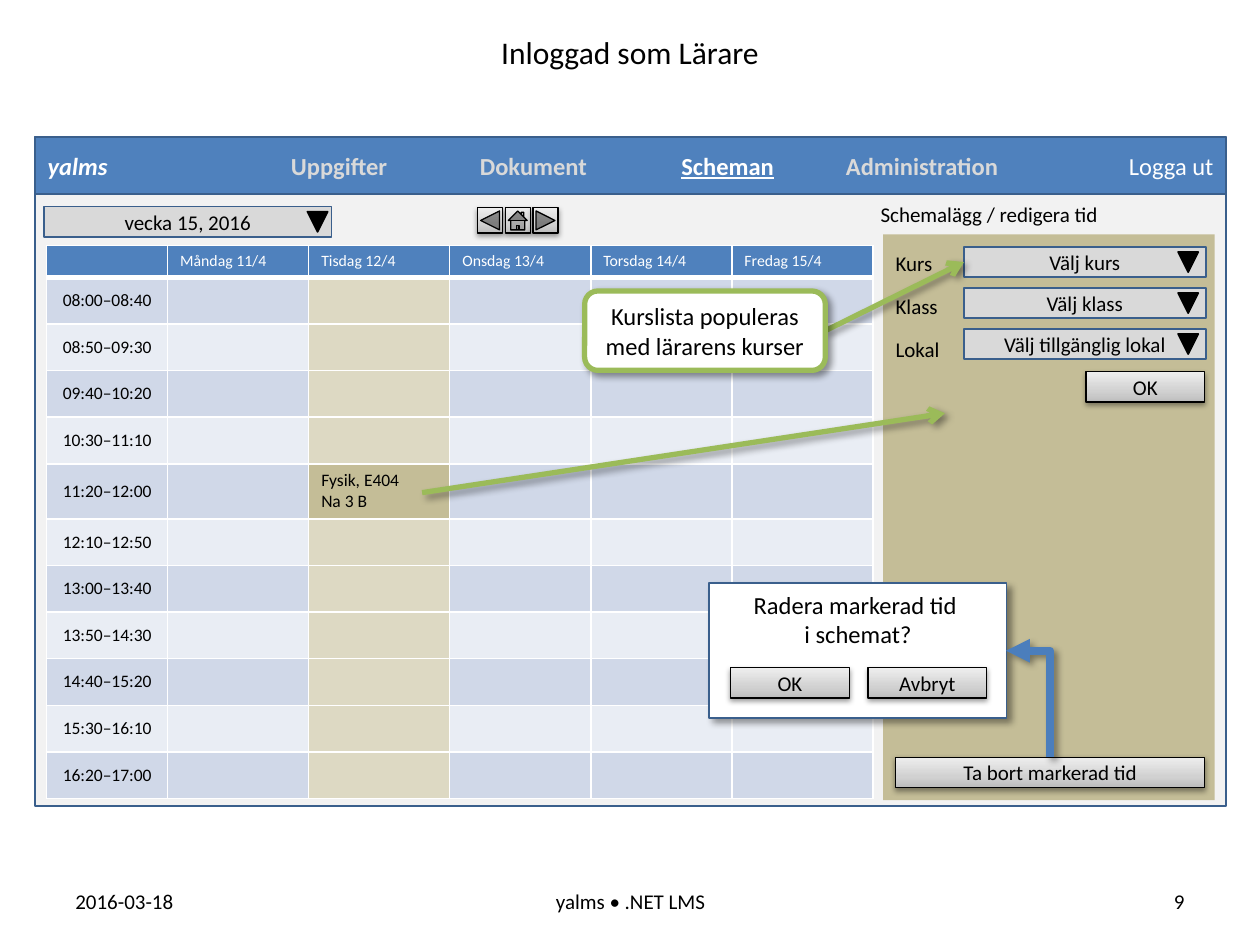
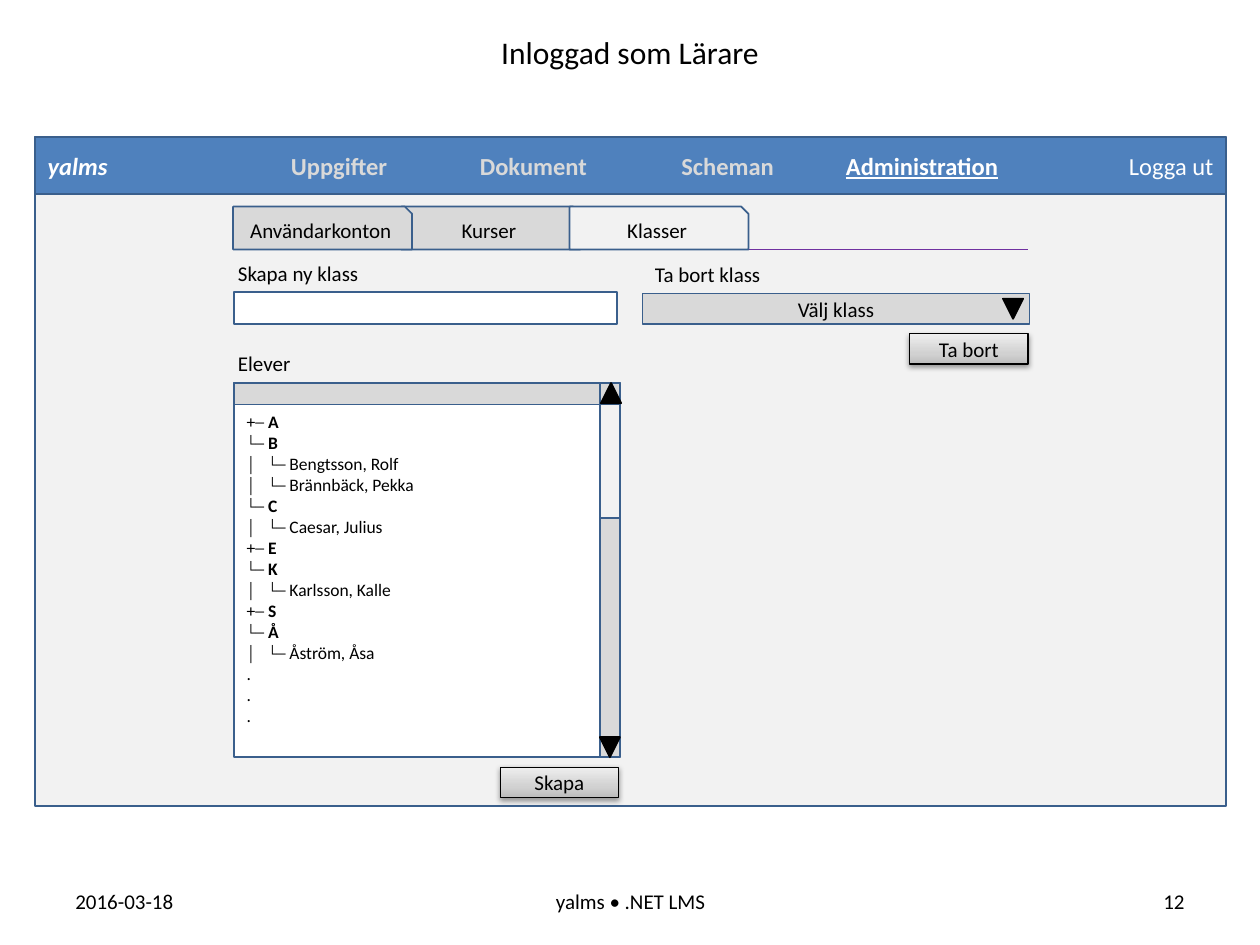
"""Build two mock-up pages of a school scheduling site."""
from collections import namedtuple

from lxml import etree
from pptx import Presentation
from pptx import util as u
from pptx.dml import color as dml
from pptx.enum import shapes, text
from pptx.oxml import ns

FONT = "Calibri"
BLACK, WHITE, SILVER, PAPER = "000000", "FFFFFF", "D9D9D9", "F2F2F2"
BLUE, EDGE, ARROW = "4F81BD", "3A5F8C", "4B7EBC"
KHAKI, SAND, GREEN, PURPLE = "C4BD97", "DDD9C3", "9BBB59", "7030A0"
BANDS = ("D0D8E8", "E9EDF4")
STEEL = ((0, "BDBDBD"), (35, "D1D1D1"), (100, "EEEEEE"))
LOW_SHADOW = (38, 3.1, 1.6, 90)
CAST_SHADOW = (40, 4, 3, 45)
KIND = shapes.MSO_SHAPE
ALIGN = {"l": text.PP_ALIGN.LEFT, "c": text.PP_ALIGN.CENTER, "r": text.PP_ALIGN.RIGHT}
ANCHOR = {"t": text.MSO_ANCHOR.TOP, "m": text.MSO_ANCHOR.MIDDLE}
MENU = ("Uppgifter", "Dokument", "Scheman", "Administration")
DAYS = ("Måndag 11/4", "Tisdag 12/4", "Onsdag 13/4", "Torsdag 14/4", "Fredag 15/4")
START, LESSON, STEP = 8 * 60, 40, 50
MARKED_DAY, MARKED_ROW = 2, 5
TREE = (("+", "A"), ("└", "B", "Bengtsson, Rolf", "Brännbäck, Pekka"),
        ("└", "C", "Caesar, Julius"), ("+", "E"), ("└", "K", "Karlsson, Kalle"),
        ("+", "S"), ("└", "Å", "Åström, Åsa"))


class Box(namedtuple("Box", "left top width height")):
    """Hold a rectangle in inches."""

    def at(self, x, y, width, height):
        """Return a box placed relative to this one."""
        return Box(self.left + x, self.top + y, width, height)

    def lengths(self):
        """Return the four values as lengths."""
        return [u.Inches(value) for value in self]


WINDOW = Box(0.28, 1.09, 9.45, 5.31)


def rgb(value):
    """Turn a hex string into a colour."""
    return dml.RGBColor.from_string(value)


def add(parent, tag, **attributes):
    """Append an XML child with the given attributes."""
    child = etree.SubElement(parent, ns.qn(tag))
    for name, value in attributes.items():
        child.set(name, str(value))
    return child


def write(frame, paras, size=12, color=BLACK, align="l", anchor="t", after=0,
          bold=False, inset_top=0.05, tab=None):
    """Fill a text frame with strings or lists of (text, format) spans."""
    frame.word_wrap = True
    frame.auto_size = text.MSO_AUTO_SIZE.NONE
    frame.vertical_anchor = ANCHOR[anchor]
    frame.margin_left = frame.margin_right = u.Inches(0.1)
    frame.margin_top, frame.margin_bottom = u.Inches(inset_top), u.Inches(0.05)
    for index, spans in enumerate([paras] if isinstance(paras, str) else paras):
        para = frame.paragraphs[0] if index == 0 else frame.add_paragraph()
        para.alignment = ALIGN[align[min(index, len(align) - 1)]]
        para.space_after, para.space_before = u.Pt(after), u.Pt(0)
        if tab:
            stops = add(para._p.get_or_add_pPr(), "a:tabLst")
            add(stops, "a:tab", pos=u.Inches(tab), algn="l")
        for words, style in [(spans, {})] if isinstance(spans, str) else spans:
            for part, line in enumerate(words.split("\n")):
                if part:
                    para.add_line_break()
                span = para.add_run()
                span.text = line
                font = span.font
                font.name, font.size = FONT, u.Pt(size)
                font.bold = style.get("bold", bold)
                font.italic = style.get("italic", False)
                font.underline = style.get("underline", False)
                font.color.rgb = rgb(style.get("color", color))


def cast(properties, opacity, blur, distance, angle):
    """Put an outer shadow into an effect list."""
    shadow = add(properties.find(ns.qn("a:effectLst")), "a:outerShdw",
                 blurRad=u.Pt(blur), dist=u.Pt(distance), dir=angle * 60000,
                 rotWithShape=0)
    add(add(shadow, "a:srgbClr", val=BLACK), "a:alpha", val=opacity * 1000)


def draw(page, box, kind=KIND.RECTANGLE, fill=WHITE, line=EDGE, weight=1,
         shadow=None, words=None, **style):
    """Draw a preset shape, with text if there is any."""
    shape = page.shapes.add_shape(kind, *box.lengths())
    if isinstance(fill, str):
        shape.fill.solid()
        shape.fill.fore_color.rgb = rgb(fill)
    else:
        shape.fill.gradient()
        shape.fill.gradient_angle = 90
        stops = shape._element.spPr.find(".//" + ns.qn("a:gsLst"))
        for stop in list(stops):
            stops.remove(stop)
        for place, color in fill:
            add(add(stops, "a:gs", pos=place * 1000), "a:srgbClr", val=color)
    if line:
        shape.line.color.rgb = rgb(line)
        shape.line.width = u.Pt(weight)
    else:
        shape.line.fill.background()
    shape.shadow.inherit = False
    if shadow:
        cast(shape._element.spPr, *shadow)
    if words:
        write(shape.text_frame, words, **{"align": "c", "anchor": "m", **style})
    return shape


def label(page, box, words, **style):
    """Place plain text."""
    write(page.shapes.add_textbox(*box.lengths()).text_frame, words, **style)


def link(page, start, end, color, weight=1, head=None, shadow=None,
         kind=shapes.MSO_CONNECTOR.STRAIGHT):
    """Draw a connector between two points."""
    points = [u.Inches(value) for value in (*start, *end)]
    connector = page.shapes.add_connector(kind, *points)
    connector.line.color.rgb = rgb(color)
    connector.line.width = u.Pt(weight)
    properties = connector._element.spPr
    if head:
        add(properties.find(ns.qn("a:ln")), "a:tailEnd", type=head)
    add(properties, "a:effectLst")
    if shadow:
        cast(properties, *shadow)
    return connector


def button(page, box, words=None, kind=KIND.RECTANGLE):
    """Draw a raised grey button."""
    draw(page, box, kind, STEEL, BLACK, 0.75, LOW_SHADOW, words)


def triangle(page, box, down=True):
    """Draw a small black pointer."""
    pointer = draw(page, box, KIND.ISOSCELES_TRIANGLE, BLACK, BLACK)
    pointer.rotation = 180 if down else 0


def dropdown(page, box, words, gap=0.21):
    """Draw a closed list with its pointer at the right."""
    draw(page, box, KIND.ACTION_BUTTON_CUSTOM, SILVER, words=words)
    triangle(page, box.at(box.width - gap, 0.04, 0.16, 0.16))


def start_page(deck, number, active):
    """Add a page with title, footers, window and menu bar."""
    page = deck.slides.add_slide(deck.slide_layouts[5])
    title = page.shapes.title
    title.left, title.top, title.width, title.height = Box(0, 0.21, 10, 0.4).lengths()
    write(title.text_frame, "Inloggad som Lärare", size=18, align="c")
    footers = ((7.17, 2.33, str(number), "r"), (3.42, 3.17, "yalms • .NET LMS", "c"),
               (0.5, 2.33, "2016-03-18", "l"))
    for left, width, words, align in footers:
        label(page, Box(left, 6.95, width, 0.4), words, align=align, anchor="m")
    draw(page, WINDOW, fill=PAPER)
    items = [[(name, {"color": WHITE, "underline": True} if name == active else {})]
             for name in MENU]
    bar = draw(page, WINDOW.at(0, 0, WINDOW.width, 0.45), fill=BLUE, size=14,
               color=SILVER, bold=True, align="lccccr",
               words=[[("yalms", {"color": WHITE, "italic": True})], *items,
                      [("Logga ut", {"color": WHITE, "bold": False})]])
    bar.text_frame._txBody.bodyPr.set("numCol", str(len(items) + 2))
    return page


def clock(minutes):
    """Format minutes after midnight."""
    return f"{minutes // 60:02d}:{minutes % 60:02d}"


def fill_cell(cell, fill, words="", size=10, header=False, **style):
    """Format one timetable cell."""
    properties = cell._tc.get_or_add_tcPr()
    for side in "LRTB":
        width = 3 if header and side == "B" else 1
        border = add(properties, "a:ln" + side, w=u.Pt(width))
        add(add(border, "a:solidFill"), "a:srgbClr", val=WHITE)
    cell.fill.solid()
    cell.fill.fore_color.rgb = rgb(fill)
    if words:
        write(cell.text_frame, words, size=size, **style)
        cell.vertical_anchor = ANCHOR[style.get("anchor", "t")]
    else:
        cell.text_frame.paragraphs[0]._p.get_or_add_endParaRPr().set("sz", str(size * 100))


def timetable(page, box, lessons=11):
    """Build the week table with one marked day."""
    grid = page.shapes.add_table(lessons + 1, len(DAYS) + 1, *box.lengths()).table
    for index, column in enumerate(grid.columns):
        column.width = u.Inches(1.12 if index else 0.96)
    for index, row in enumerate(grid.rows):
        row.height = u.Inches(0.37 if index else 0.22)
    for index, day in enumerate(("", *DAYS)):
        fill_cell(grid.cell(0, index), BLUE, day, size=9, color=WHITE, header=True)
    for row in range(1, lessons + 1):
        band = BANDS[(row - 1) % 2]
        begin = START + (row - 1) * STEP
        fill_cell(grid.cell(row, 0), band, f"{clock(begin)}–{clock(begin + LESSON)}",
                  align="c", anchor="m")
        for day in range(1, len(DAYS) + 1):
            if (row, day) == (MARKED_ROW, MARKED_DAY):
                fill_cell(grid.cell(row, day), KHAKI, ["Fysik, E404", "Na 3 B"])
            else:
                fill_cell(grid.cell(row, day), SAND if day == MARKED_DAY else band)


def week_bar(page, box):
    """Place the week list and the browse buttons."""
    dropdown(page, box.at(0, 0, 2.28, 0.24), "vecka 15, 2016", gap=0.19)
    kinds = (KIND.ACTION_BUTTON_BACK_OR_PREVIOUS, KIND.ACTION_BUTTON_HOME,
             KIND.ACTION_BUTTON_FORWARD_OR_NEXT)
    for index, kind in enumerate(kinds):
        button(page, box.at(3.44 + index * 0.22, 0.01, 0.2, 0.2), kind=kind)


def edit_panel(page, box):
    """Place the form for booking a lesson."""
    draw(page, box, fill=KHAKI, line=None)
    label(page, box.at(-0.12, -0.31, 2.78, 0.3), "Schemalägg / redigera tid")
    button(page, box.at(1.61, 1.09, 0.94, 0.24), "OK")
    button(page, box.at(0.1, 4.15, 2.45, 0.24), "Ta bort markerad tid")
    label(page, box.at(0, 0.08, 0.97, 0.99), ["Kurs", "Klass", "Lokal"], after=10)
    for index, words in enumerate(("Välj kurs", "Välj klass", "Välj tillgänglig lokal")):
        dropdown(page, box.at(0.64, 0.1 + index * 0.325, 1.92, 0.24), words, gap=0.22)


def confirm_dialog(page, box):
    """Place the delete question, its arrow and its buttons."""
    draw(page, box, shadow=CAST_SHADOW, size=14, anchor="t",
         words="Radera markerad tid \ni schemat?")
    span = box.at(2.11, 0.78, 0.84, 0.35)
    elbow = link(page, span[:2], (span.left + span.width, span.top + span.height),
                 ARROW, 4.5, "triangle", CAST_SHADOW, shapes.MSO_CONNECTOR.ELBOW)
    properties = elbow._element.spPr
    properties.find(ns.qn("a:prstGeom")).set("prst", "bentConnector2")
    turn = properties.find(ns.qn("a:xfrm"))
    turn.set("rot", str(270 * 60000))
    turn.set("flipV", "1")
    for index, words in enumerate(("OK", "Avbryt")):
        button(page, box.at(0.17 + index * 1.09, 0.67, 0.94, 0.24), words)


def callout(page, box, target):
    """Place a green note with an arrow to its target."""
    edge = (box.left + box.width, box.top + box.height / 2)
    link(page, edge, target, GREEN, 3, "arrow", CAST_SHADOW)
    draw(page, box, KIND.ROUNDED_RECTANGLE, line=GREEN, weight=3, shadow=CAST_SHADOW,
         words="Kurslista populeras med lärarens kurser", size=14)


def tab_row(page, box):
    """Place the three tabs, the open one in front."""
    link(page, (box.left + 4.09, box.top + box.height),
         (box.left + box.width, box.top + box.height), PURPLE)
    tabs = ((1, "Kurser", SILVER), (0, "Användarkonton", SILVER), (2, "Klasser", PAPER))
    for index, words, fill in tabs:
        draw(page, box.at(index * 1.335, 0, 1.42, box.height),
             KIND.SNIP_1_RECTANGLE, fill, words=words)


def pupil_list(page, box):
    """Place the pupil tree with its header and scroll bar."""
    paras = []
    for sign, letter, *pupils in TREE:
        paras.append([(sign + "─ ", {}), (letter, {"bold": True})])
        paras += ["│\t└─ " + pupil for pupil in pupils]
    draw(page, box, words=paras + ["."] * 3, size=10, align="l", anchor="t",
         inset_top=0.22, tab=0.17)
    side = box.width - 0.16
    draw(page, box.at(0, 0, box.width, 0.17), fill=SILVER)
    draw(page, box.at(side, 0, 0.16, box.height), fill=SILVER)
    draw(page, box.at(side, 0.17, 0.16, 0.9), fill=PAPER)
    triangle(page, box.at(side, box.height - 0.16, 0.16, 0.16))
    triangle(page, box.at(side + 0.01, 0, 0.16, 0.16), down=False)


def create_class(page, box):
    """Place the form for a new class."""
    button(page, box.at(2.11, 4.07, 0.94, 0.24), "Skapa")
    label(page, box.at(-0.07, 0, 2.83, 0.3), "Skapa ny klass")
    draw(page, box.at(0, 0.3, 3.04, 0.25))
    label(page, box.at(-0.07, 0.71, 2.83, 0.3), "Elever")
    pupil_list(page, box.at(0, 1.02, 3.06, 2.97))


def remove_class(page, box):
    """Place the form for removing a class."""
    label(page, box.at(0, 0, 2.83, 0.3), "Ta bort klass")
    dropdown(page, box.at(0, 0.3, box.width, 0.24), "Välj klass")
    button(page, box.at(2.12, 0.62, 0.94, 0.24), "Ta bort")


def main():
    """Build and save the deck."""
    deck = Presentation()
    deck.slide_width, deck.slide_height = u.Inches(10), u.Inches(7.5)
    schedule = start_page(deck, 9, "Scheman")
    week_bar(schedule, Box(0.35, 1.64, 4.08, 0.24))
    timetable(schedule, Box(0.37, 1.95, 6.56, 4.29))
    edit_panel(schedule, Box(7.01, 1.86, 2.63, 4.49))
    link(schedule, (3.35, 3.91), (7.5, 3.28), GREEN, 3, "arrow", CAST_SHADOW)
    confirm_dialog(schedule, Box(5.63, 4.63, 2.36, 1.07))
    callout(schedule, Box(4.64, 2.31, 1.91, 0.63), (7.65, 2.08))
    classes = start_page(deck, 12, "Administration")
    tab_row(classes, Box(1.85, 1.64, 6.31, 0.34))
    create_class(classes, Box(1.86, 2.02, 3.06, 4.31))
    remove_class(classes, Box(5.1, 2.03, 3.07, 0.86))
    deck.save("out.pptx")


main()
